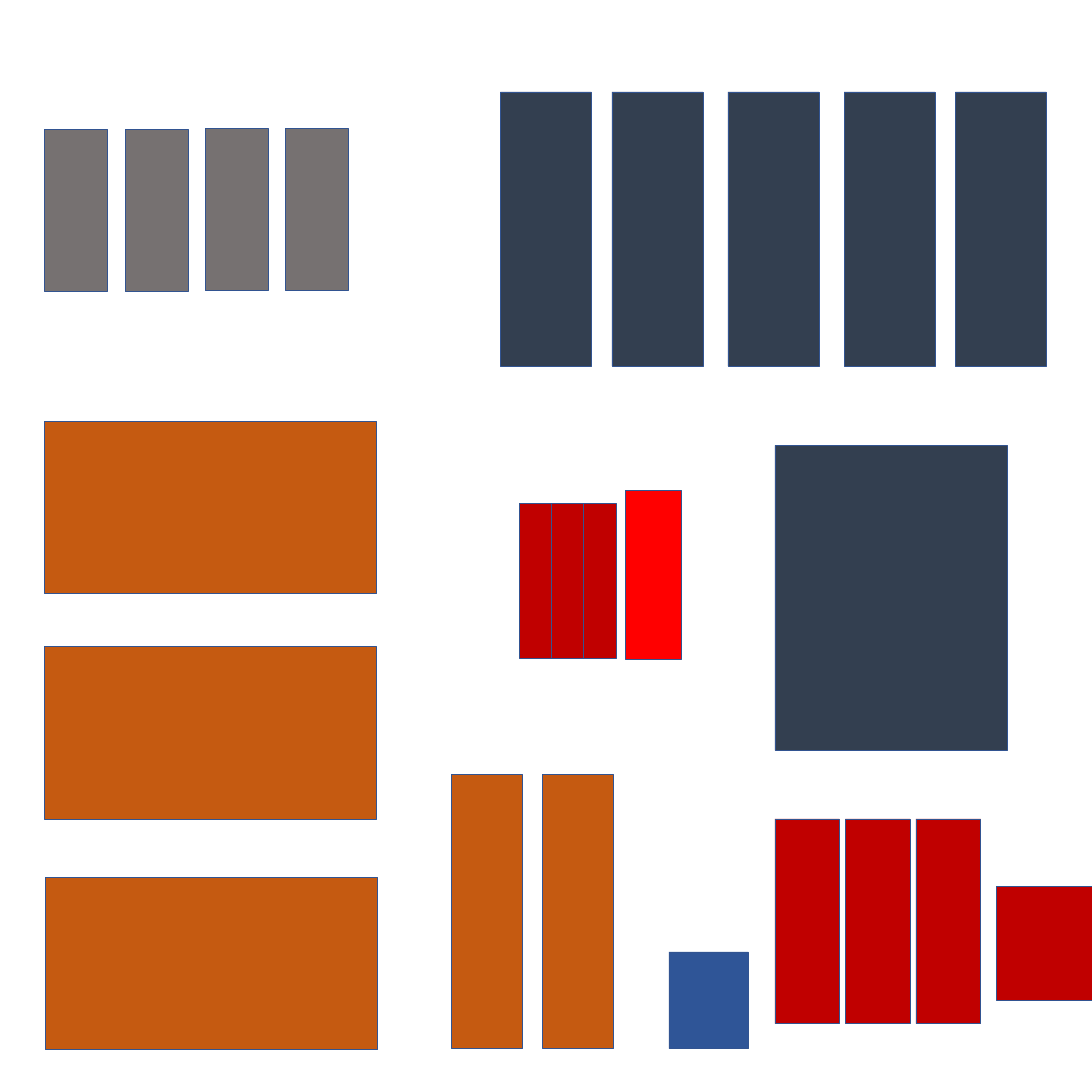
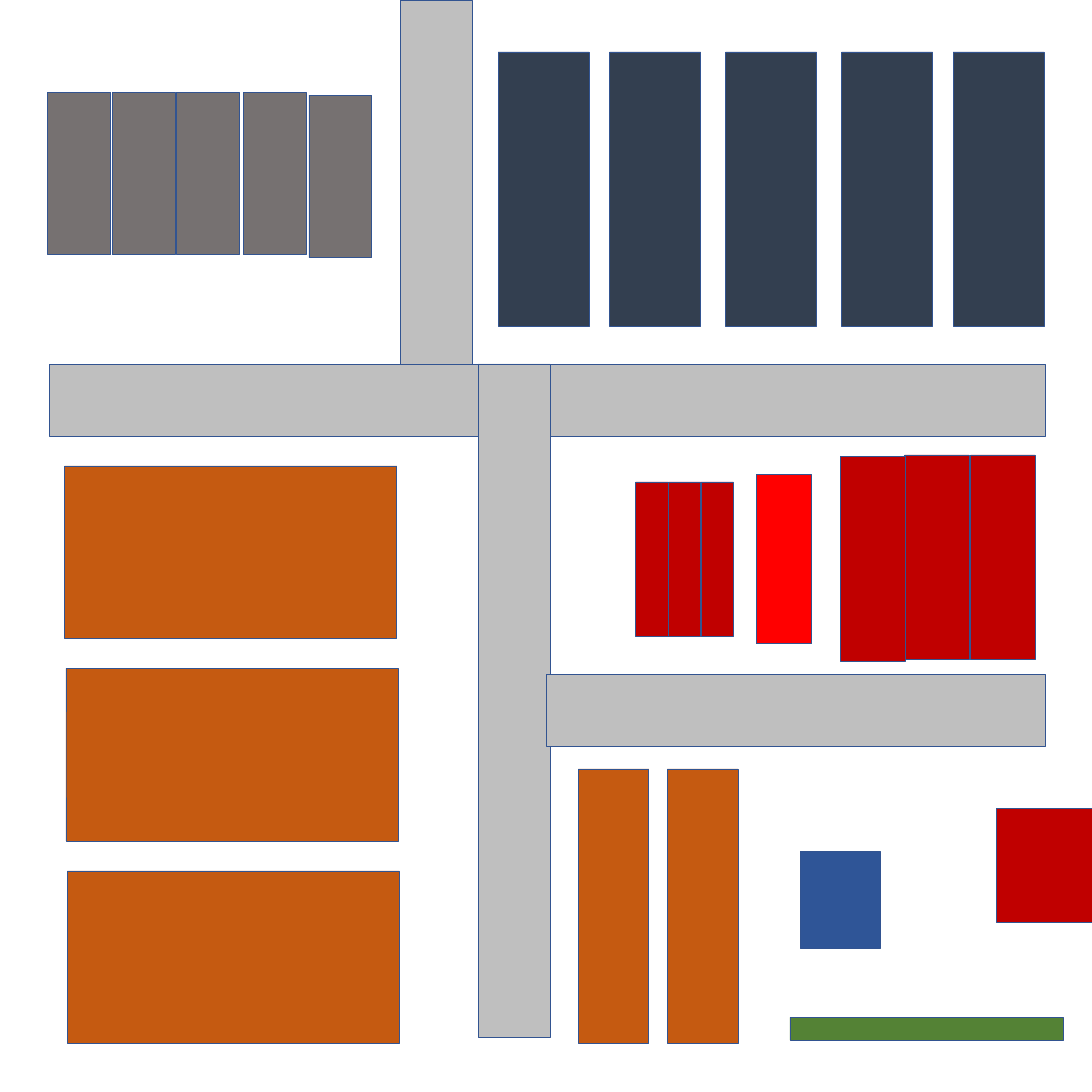
from pptx import Presentation
from pptx.dml.color import RGBColor
from pptx.enum import shapes
from pptx.util import Inches, Pt

COLORS = {
    "navy": "333F50", "orange": "C55A11", "crimson": "C00000",
    "red": "FF0000", "blue": "2F5597", "gray": "767171",
    "road": "BFBFBF", "green": "548235", "outline": "325491",
}
KINDS = {
    "tower": (2, 6.03, "navy"),
    "hall": (7.3, 3.79, "orange"),
    "slab": (1.55, 6.03, "orange"),
    "narrow": (0.71, 3.4, "crimson"),
    "wide": (1.42, 4.5, "crimson"),
    "accent": (1.22, 3.72, "red"),
    "square": (1.75, 2.13, "blue"),
    "court": (5.1, 6.7, "navy"),
    "unit": (1.38, 3.57, "gray"),
    "edge": (2.1, 2.5, "crimson"),
    "hedge": (6, 0.5, "green"),
}
ROAD = 1.58


def block(slide, left, top, width, height, color, turn=0):
    """Draw an outlined rectangle that fills the given box after its turn."""
    w, h = (height, width) if turn else (width, height)
    x, y = left + (width - w) / 2, top + (height - h) / 2
    sp = slide.shapes.add_shape(shapes.MSO_SHAPE.RECTANGLE,
                                *map(Inches, (x, y, w, h)))
    sp.shadow.inherit = False
    sp.rotation = turn
    sp.fill.solid()
    for fmt, name in ((sp.fill.fore_color, color), (sp.line.color, "outline")):
        fmt.rgb = RGBColor.from_string(COLORS[name])
    sp.line.width = Pt(1)


def group(slide, kind, left, top, offsets=((0, 0),), turn=0):
    """Place blocks of one kind at offsets from the corner of their region."""
    width, height, color = KINDS[kind]
    for dx, dy in offsets:
        block(slide, left + dx, top + dy, width, height, color, turn)


def row(slide, kind, left, top, count, pitch):
    """Place an evenly spaced row of blocks."""
    group(slide, kind, left, top, [(i * pitch, 0) for i in range(count)])


def towers(slide, left, top):
    """Place the five towers, with a narrower gap at either end."""
    group(slide, "tower", left, top,
          [(dx, 0) for dx in (0, 2.45, 5, 7.55, 10)])


def roads(slide, left, top, width):
    """Draw the main road and the three streets that meet it."""
    right, street = left + width, left + 9.43
    side = street + 1.49
    block(slide, left, top, width, ROAD, "road")
    block(slide, street, top, ROAD, 14.8, "road", 90)
    block(slide, side, top + 6.83, right - side, ROAD, "road")
    block(slide, left + 7.72, 0, ROAD, top, "road", 90)


def buildings_slide(slide):
    """Lay out the buildings on their own."""
    towers(slide, 11, 2.02)
    group(slide, "hall", 0.98, 9.26, ((0, 0), (0, 4.95), (0.02, 10.02)), 270)
    row(slide, "slab", 9.93, 17.02, 2, 2)
    row(slide, "narrow", 11.42, 11.07, 3, 0.705)
    row(slide, "wide", 17.03, 18, 3, 1.55)
    group(slide, "accent", 13.75, 10.77)
    group(slide, "square", 14.7, 20.92)
    group(slide, "court", 17.03, 9.79)
    group(slide, "unit", 0.98, 2.84,
          ((0, 0), (1.77, 0), (3.53, -0.02), (5.29, -0.02)))
    group(slide, "edge", 21.9, 19.48)


def streets_slide(slide):
    """Lay out the buildings around the streets."""
    towers(slide, 10.95, 1.14)
    group(slide, "hall", 1.42, 10.24,
          [(i * 0.03, i * 4.45) for i in range(3)], 90)
    row(slide, "slab", 12.71, 16.9, 2, 1.96)
    row(slide, "narrow", 13.97, 10.59, 3, 0.72)
    group(slide, "wide", 18.47, 10, ((2.86, 0), (1.41, 0), (0, 0.03)))
    group(slide, "accent", 16.62, 10.43)
    group(slide, "square", 17.59, 18.72)
    group(slide, "unit", 1.05, 2.03,
          ((0, 0), (1.42, 0), (2.83, 0), (4.3, 0), (5.74, 0.06)))
    group(slide, "edge", 21.9, 17.77)
    group(slide, "hedge", 17.36, 22.36)
    roads(slide, 1.08, 8, 21.9)


def main():
    """Build and save both slides."""
    prs = Presentation()
    prs.slide_width = prs.slide_height = Inches(24)
    for build in (buildings_slide, streets_slide):
        build(prs.slides.add_slide(prs.slide_layouts[6]))
    prs.save("out.pptx")


if __name__ == "__main__":
    main()
